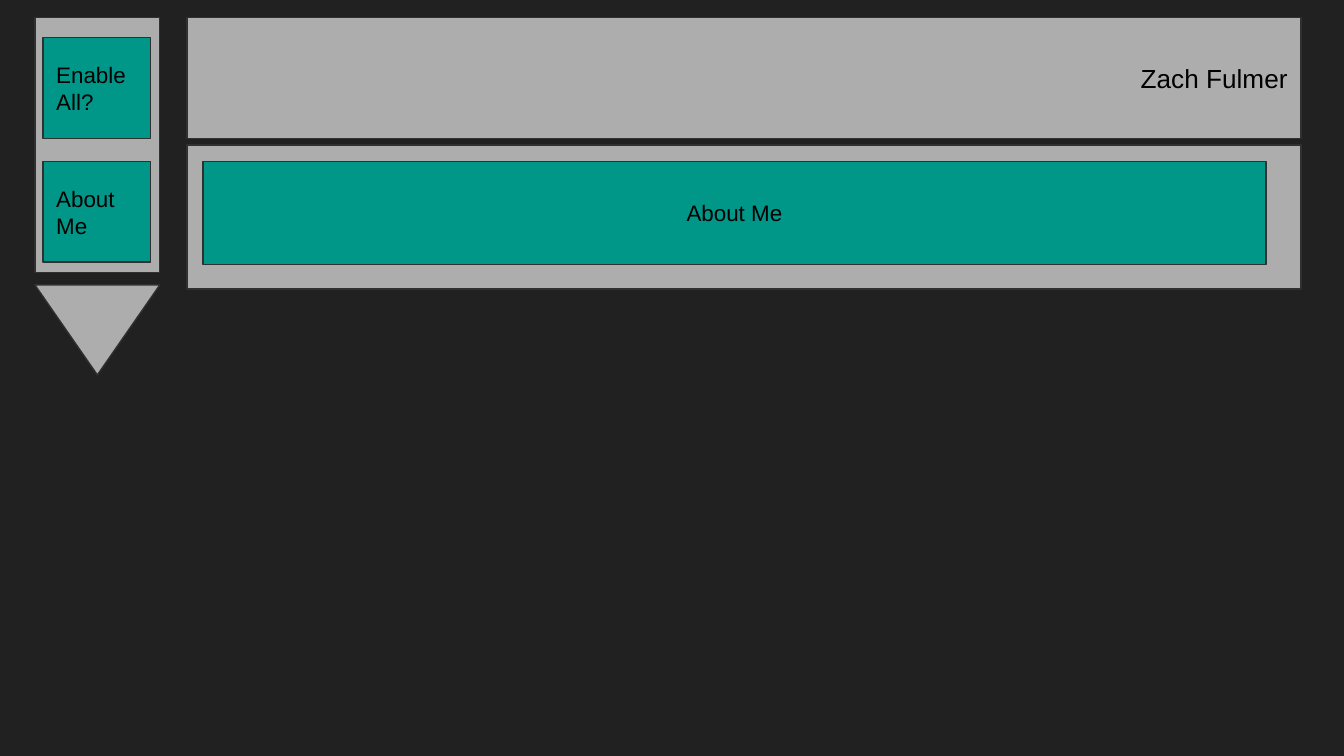
import pptx
import pptx.util
import pptx.dml.color
import pptx.enum.shapes
import pptx.enum.text

Inches = pptx.util.Inches
Pt = pptx.util.Pt
RGB = pptx.dml.color.RGBColor.from_string
Kind = pptx.enum.shapes.MSO_SHAPE
Align = pptx.enum.text.PP_ALIGN

THEME = {
    "background": "212121",
    "panel": "ADADAD",
    "button": "009688",
    "line": "303030",
    "text": "000000",
    "font": "Arial",
    "line_width": 0.75,
    "name_size": 14,
    "label_size": 12,
    "inset": 0.1,
}

MENU_LABELS = ["Enable All?", "About Me"]
OWNER = "Zach Fulmer"
SECTION_TITLE = "About Me"

SLIDE_WIDTH = 10
SLIDE_HEIGHT = SLIDE_WIDTH * 9 / 16
TOP = 0.13
MENU_LEFT, MENU_WIDTH = 0.26, 0.93
CONTENT_LEFT, CONTENT_WIDTH = 1.39, 8.29
BUTTON_LEFT, BUTTON_TOP, BUTTON_STEP = 0.32, 0.28, 0.92
BUTTON_WIDTH, BUTTON_HEIGHT = 0.8, 0.75


def add_box(slide, box, fill, text="", size="label_size", align=Align.LEFT, kind=Kind.RECTANGLE):
    shape = slide.shapes.add_shape(kind, *[Inches(length) for length in box])
    shape.shadow.inherit = False
    shape.fill.solid()
    shape.fill.fore_color.rgb = RGB(THEME[fill])
    shape.line.color.rgb = RGB(THEME["line"])
    shape.line.width = Pt(THEME["line_width"])
    if not text:
        return
    frame = shape.text_frame
    frame.word_wrap = True
    frame.vertical_anchor = pptx.enum.text.MSO_ANCHOR.MIDDLE
    frame.margin_left = frame.margin_right = Inches(THEME["inset"])
    frame.margin_top = frame.margin_bottom = Inches(THEME["inset"])
    paragraph = frame.paragraphs[0]
    paragraph.alignment = align
    run = paragraph.add_run()
    run.text = text
    run.font.name = THEME["font"]
    run.font.size = Pt(THEME[size])
    run.font.color.rgb = RGB(THEME["text"])


def add_menu(slide):
    add_box(slide, (MENU_LEFT, 2.12, MENU_WIDTH, 0.67), "panel", kind=Kind.FLOWCHART_MERGE)
    add_box(slide, (MENU_LEFT, TOP, MENU_WIDTH, 1.9), "panel")
    for index, label in enumerate(MENU_LABELS):
        top = BUTTON_TOP + index * BUTTON_STEP
        add_box(slide, (BUTTON_LEFT, top, BUTTON_WIDTH, BUTTON_HEIGHT), "button", label)


def add_content(slide):
    add_box(slide, (CONTENT_LEFT, TOP, CONTENT_WIDTH, 0.9), "panel", OWNER, "name_size", Align.RIGHT)
    add_box(slide, (CONTENT_LEFT, 1.08, CONTENT_WIDTH, 1.07), "panel")
    add_box(slide, (1.51, 1.2, 7.91, 0.77), "button", SECTION_TITLE, align=Align.CENTER)


def main():
    presentation = pptx.Presentation()
    presentation.slide_width = Inches(SLIDE_WIDTH)
    presentation.slide_height = Inches(SLIDE_HEIGHT)
    slide = presentation.slides.add_slide(presentation.slide_layouts[6])
    slide.background.fill.solid()
    slide.background.fill.fore_color.rgb = RGB(THEME["background"])
    add_menu(slide)
    add_content(slide)
    presentation.save("out.pptx")


if __name__ == "__main__":
    main()
